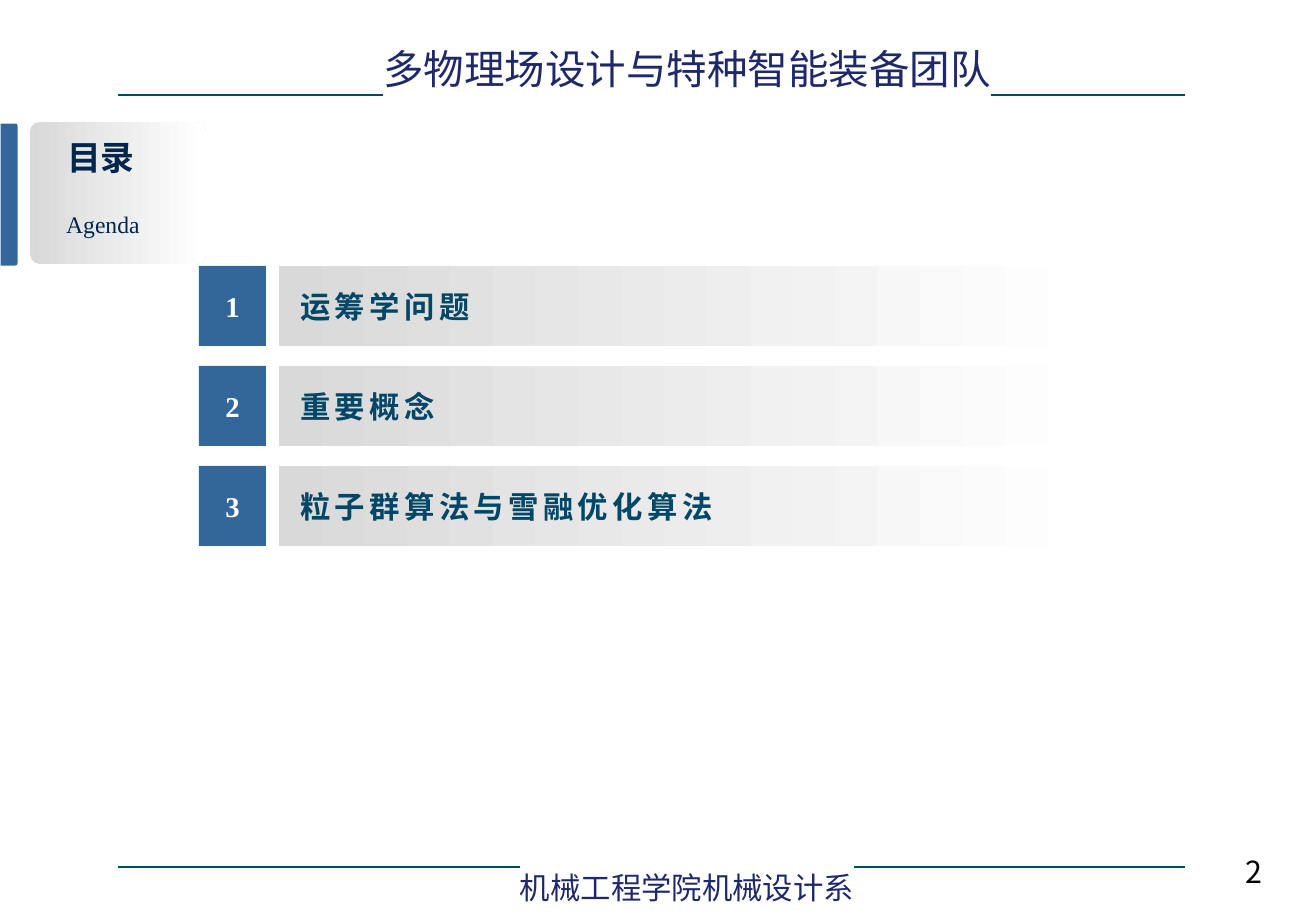
from lxml import etree
from pptx import Presentation
from pptx.dml.color import RGBColor
from pptx.enum.shapes import MSO_CONNECTOR, MSO_SHAPE
from pptx.enum.text import MSO_ANCHOR, PP_ALIGN
from pptx.oxml.ns import qn
from pptx.util import Pt

PX = 7526  # EMU in one px
RECT, ROUND = MSO_SHAPE.RECTANGLE, MSO_SHAPE.ROUNDED_RECTANGLE
TAB = MSO_SHAPE.ROUND_2_SAME_RECTANGLE
STRAIGHT = MSO_CONNECTOR.STRAIGHT
LEFT, CENTER, RIGHT = PP_ALIGN.LEFT, PP_ALIGN.CENTER, PP_ALIGN.RIGHT
TOP, MIDDLE = MSO_ANCHOR.TOP, MSO_ANCHOR.MIDDLE
SERIF, SANS = "Times New Roman", "Noto Sans CJK SC"
COLORS = {
    "blue": "336699", "gray": "D9D9D9", "white": "FFFFFF", "rule": "004A63",
    "navy": "00264D", "teal": "004666", "indigo": "1F296A", "black": "000000",
}
RGB = {name: RGBColor.from_string(code) for name, code in COLORS.items()}

deck = Presentation()
deck.slide_width, deck.slide_height = 1316 * PX, 911 * PX
slide = deck.slides.add_slide(deck.slide_layouts[6])
shapes = slide.shapes


def panel(kind, box, color=None):
    """Add a borderless shape, filled with a color or with a gray fade."""
    shape = shapes.add_shape(kind, *[n * PX for n in box])
    shape.shadow.inherit = False
    shape.line.fill.background()
    if color:
        shape.fill.solid()
        shape.fill.fore_color.rgb = RGB[color]
    else:
        shape.fill.gradient()
        shape.fill.gradient_angle = 0
        for stop, name in zip(shape.fill.gradient_stops, ("gray", "white")):
            stop.color.rgb = RGB[name]
    return shape


def write(shape, text, size, color, font=SERIF, bold=False, align=CENTER,
          anchor=TOP, inset=(12, 6, 12, 6), wrap=True, space=0, mark=False):
    """Put one styled line of text in a shape; mark backs it with white."""
    frame = shape.text_frame
    left, top, right, bottom = [n * PX for n in inset]
    look = {"word_wrap": wrap, "vertical_anchor": anchor, "margin_left": left,
            "margin_top": top, "margin_right": right, "margin_bottom": bottom}
    for key, value in look.items():
        setattr(frame, key, value)
    para = frame.paragraphs[0]
    para.alignment = align
    run = para.add_run()
    run.text = text
    for key, value in {"size": Pt(size), "bold": bold, "name": font}.items():
        setattr(run.font, key, value)
    run.font.color.rgb = RGB[color]
    props = run.font._element
    east = etree.Element(qn("a:ea"), typeface=SANS)
    props.find(qn("a:latin")).addnext(east)
    if space:
        props.set("spc", str(space))
    if mark:
        back = etree.Element(qn("a:highlight"))
        etree.SubElement(back, qn("a:srgbClr"), val=COLORS["white"])
        props.find(qn("a:solidFill")).addnext(back)


# Header and footer rules
for y in (867, 95):
    rule = shapes.add_connector(STRAIGHT, 118 * PX, y * PX, 1185 * PX, y * PX)
    rule.line.width = Pt(0.75)
    rule.line.color.rgb = RGB["rule"]
    etree.SubElement(rule._element.spPr, qn("a:effectLst"))

# Agenda heading
tab = panel(TAB, (-62, 186, 142, 17), "blue")
tab.rotation = 90
tab.adjustments[0] = 0.14
card = panel(ROUND, (30, 122, 176, 142))
card.adjustments[0] = 0.07

# Agenda items
items = ("运筹学问题", "重要概念", "粒子群算法与雪融优化算法")
for i, item in enumerate(items):
    y = 266 + 100 * i
    badge = panel(RECT, (199, y, 67, 80), "blue")
    write(badge, str(i + 1), 17, "white", bold=True, anchor=MIDDLE,
          inset=(0, 0, 0, 0))
    bar = panel(RECT, (279, y, 812, 80))
    write(bar, item, 18, "teal", bold=True, align=LEFT, anchor=MIDDLE,
          inset=(21, 6, 12, 6), space=260)

# Free text
labels = (
    ((27, 204, 152, 41), "Agenda", 14, "navy", {}),
    ((30, 131, 142, 53), "目录", 20, "navy", {"bold": True}),
    ((371, 38, 632, 61), "多物理场设计与特种智能装备团队", 24, "indigo",
     {"font": SANS, "mark": True}),
    ((506, 863, 362, 49), "机械工程学院机械设计系", 18, "indigo",
     {"font": SANS, "mark": True, "wrap": False}),
    ((1165, 853, 97, 24), "2", 18, "black",
     {"font": SANS, "align": RIGHT, "inset": (0, 0, 0, 0)}),
)
for box, text, size, color, style in labels:
    write(shapes.add_textbox(*[n * PX for n in box]), text, size, color, **style)

deck.save("out.pptx")
